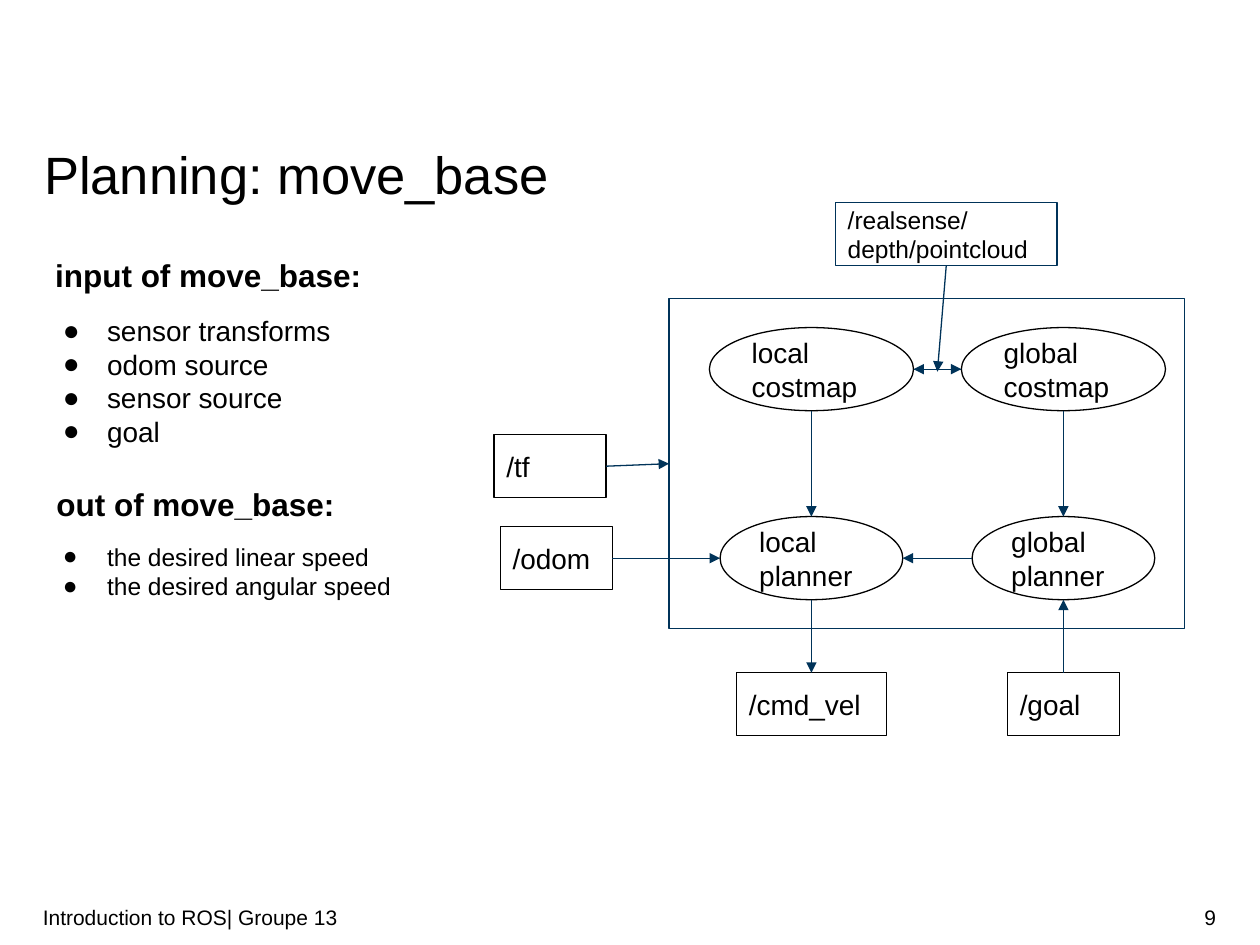
from collections import namedtuple

from lxml.etree import SubElement
from pptx import Presentation
from pptx.dml.color import RGBColor
from pptx.enum.shapes import MSO_CONNECTOR, MSO_SHAPE
from pptx.enum.text import MSO_ANCHOR, PP_ALIGN
from pptx.oxml.ns import qn
from pptx.util import Inches, Pt

COLUMNS, ROWS = 100, 75
SLIDE_WIDTH, SLIDE_HEIGHT = Inches(10), Inches(7.5)
BLACK, WHITE, NAVY = "000000", "FFFFFF", "003359"
SIDES = {"top": (0.5, 0), "left": (0, 0.5), "bottom": (0.5, 1), "right": (1, 0.5)}

Box = namedtuple("Box", "left top width height")


def color(hex_string):
    return RGBColor.from_string(hex_string)


def across(columns):
    return round(SLIDE_WIDTH * columns / COLUMNS)


def down(rows):
    return round(SLIDE_HEIGHT * rows / ROWS)


def place(box):
    return across(box.left), down(box.top), across(box.width), down(box.height)


def write(shape, text, size, bold=False, anchor=MSO_ANCHOR.TOP, align=PP_ALIGN.LEFT,
          inset=(1, 1), bulleted=False, spacing=None):
    frame = shape.text_frame
    frame.word_wrap = True
    frame.vertical_anchor = anchor
    frame.margin_left = frame.margin_right = across(inset[0])
    frame.margin_top = frame.margin_bottom = down(inset[1])
    frame.text = text
    for paragraph in frame.paragraphs:
        paragraph.alignment = align
        if spacing:
            paragraph.line_spacing = spacing
        if bulleted:
            add_bullet(paragraph)
        for run in paragraph.runs:
            run.font.name = "Arial"
            run.font.size = Pt(size)
            run.font.bold = bold
            run.font.color.rgb = color(BLACK)


def add_bullet(paragraph):
    properties = paragraph._p.get_or_add_pPr()
    properties.set("marL", str(across(5)))
    properties.set("indent", str(-across(3.5)))
    bullet_color = SubElement(properties, qn("a:buClr"))
    SubElement(bullet_color, qn("a:srgbClr"), val=BLACK)
    SubElement(properties, qn("a:buFont"), typeface="Arial")
    SubElement(properties, qn("a:buChar"), char="●")


def add_text(slide, box, text, size, **style):
    write(slide.shapes.add_textbox(*place(box)), text, size, **style)


def add_node(slide, kind, box, text="", size=16, fill=WHITE, line=BLACK):
    shape = slide.shapes.add_shape(kind, *place(box))
    shape.shadow.inherit = False
    if fill:
        shape.fill.solid()
        shape.fill.fore_color.rgb = color(fill)
    else:
        shape.fill.background()
    shape.line.color.rgb = color(line)
    shape.line.width = Pt(0.75)
    if text:
        write(shape, text, size, anchor=MSO_ANCHOR.MIDDLE)
    return shape


def side_point(shape, side):
    share_x, share_y = SIDES[side]
    return (round(shape.left + shape.width * share_x),
            round(shape.top + shape.height * share_y))


def add_arrow(slide, start, end):
    connector = slide.shapes.add_connector(MSO_CONNECTOR.STRAIGHT, *start, *end)
    connector.line.color.rgb = color(NAVY)
    connector.line.width = Pt(0.75)
    SubElement(connector.line._get_or_add_ln(), qn("a:tailEnd"), type="triangle")
    SubElement(connector._element.spPr, qn("a:effectLst"))


def add_title(slide, box):
    add_text(slide, box, "Planning: move_base", 30, inset=(0, 0), spacing=1.07)


def add_list_section(slide, box, heading, items, size, heading_height):
    add_text(slide, box._replace(height=heading_height), heading, 18, bold=True)
    list_box = box._replace(left=3.5, top=box.top + heading_height,
                            height=box.height - heading_height)
    add_text(slide, list_box, "\n".join(items), size, inset=(0, 0.5), bulleted=True)


def add_diagram(slide, box):
    local_column, global_column = 11.3, 31.3
    costmap_row, planner_row, output_row = 5.6, 20.6, 32.2
    ellipse, rectangle = MSO_SHAPE.OVAL, MSO_SHAPE.RECTANGLE
    nodes = {
        "odom": (rectangle, -8.95, planner_row, 8.9, 5, "/odom"),
        "tf": (rectangle, -9.45, 13.3, 8.9, 5, "/tf"),
        "cmd_vel": (rectangle, local_column, output_row, 11.9, 5, "/cmd_vel"),
        "goal": (rectangle, global_column, output_row, 8.9, 5, "/goal"),
        "local planner": (ellipse, local_column, planner_row, 14.5, 6.6, "local planner"),
        "global planner": (ellipse, global_column, planner_row, 14.5, 6.6, "global\nplanner"),
        "local costmap": (ellipse, local_column, costmap_row, 16.2, 6.6, "local\ncostmap"),
        "global costmap": (ellipse, global_column, costmap_row, 16.2, 6.6, "global\ncostmap"),
        "pointcloud": (rectangle, 22, -5.1, 17.6, 5, "/realsense/depth/pointcloud"),
    }
    shapes = {"frame": add_node(slide, rectangle, box, fill=None, line=NAVY)}
    for name, (kind, column, row, width, height, text) in nodes.items():
        node_box = Box(box.left + column - width / 2, box.top + row - height / 2,
                       width, height)
        style = {"size": 14, "fill": None, "line": NAVY} if name == "pointcloud" else {}
        shapes[name] = add_node(slide, kind, node_box, text, **style)

    links = [
        ("odom", "right", "local planner", "left"),
        ("tf", "right", "frame", "left"),
        ("global planner", "left", "local planner", "right"),
        ("global costmap", "bottom", "global planner", "top"),
        ("local costmap", "bottom", "local planner", "top"),
        ("local planner", "bottom", "cmd_vel", "top"),
        ("local costmap", "right", "global costmap", "left"),
        ("global costmap", "left", "local costmap", "right"),
        ("goal", "top", "global planner", "bottom"),
    ]
    for source, source_side, target, target_side in links:
        add_arrow(slide, side_point(shapes[source], source_side),
                  side_point(shapes[target], target_side))
    costmap_gap = (across(box.left + (local_column + global_column) / 2),
                   down(box.top + costmap_row + 0.2))
    add_arrow(slide, side_point(shapes["pointcloud"], "bottom"), costmap_gap)


def add_footer(slide, box):
    style = {"anchor": MSO_ANCHOR.MIDDLE, "inset": (0, 0.5)}
    label_width = box.width * 0.76
    add_text(slide, box._replace(width=label_width),
             "Introduction to ROS| Groupe 13", 12, **style)
    number_box = box._replace(left=box.left + label_width, width=box.width - label_width)
    add_text(slide, number_box, "9", 12, align=PP_ALIGN.RIGHT, **style)


def main():
    presentation = Presentation()
    presentation.slide_width, presentation.slide_height = SLIDE_WIDTH, SLIDE_HEIGHT
    slide = presentation.slides.add_slide(presentation.slide_layouts[6])
    add_title(slide, Box(3.5, 10.9, 93.1, 5))
    add_list_section(slide, Box(3.4, 19.3, 46.4, 14), "input of move_base:",
                     ["sensor transforms", "odom source", "sensor source", "goal"], 16, 5.1)
    add_list_section(slide, Box(3.5, 37.5, 46.4, 11.6), "out of move_base:",
                     ["the desired linear speed", "the desired angular speed"], 14, 5)
    add_diagram(slide, Box(53.1, 23.7, 40.9, 26.2))
    add_footer(slide, Box(3.4, 70.8, 93.1, 4))
    presentation.save("out.pptx")


if __name__ == "__main__":
    main()
